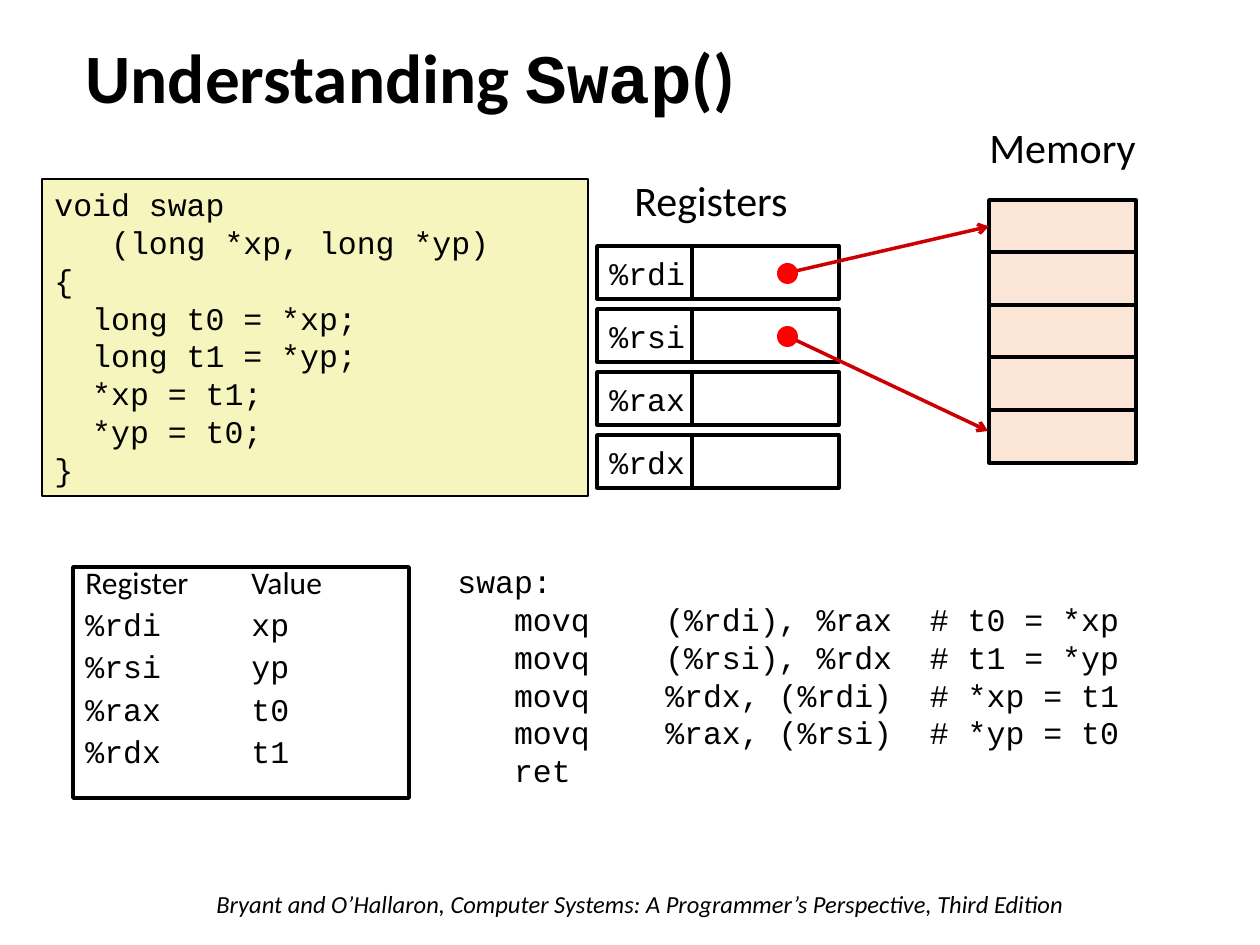
import pptx
import pptx.dml.color
import pptx.enum.shapes
import pptx.enum.text
import pptx.oxml.ns
import pptx.util
from lxml import etree

PX = 914400 / 126
SANS, MONO = "Calibri", "Courier New"
COLORS = {"ink": "000000", "paper": "FFFFFF", "code": "F6F5BD",
          "memory": "FBE5D6", "arrow": "CC0000", "dot": "FF0000"}
SHAPES = pptx.enum.shapes.MSO_SHAPE
ANCHOR = pptx.enum.text.MSO_ANCHOR
LEFT = pptx.enum.text.PP_ALIGN.LEFT

SWAP_C = """void swap
   (long *xp, long *yp)
{
  long t0 = *xp;
  long t1 = *yp;
  *xp = t1;
  *yp = t0;
}"""
SWAP_ASM = """swap:
   movq    (%rdi), %rax  # t0 = *xp
   movq    (%rsi), %rdx  # t1 = *yp
   movq    %rdx, (%rdi)  # *xp = t1
   movq    %rax, (%rsi)  # *yp = t0
   ret"""
REGISTER_VALUES = {"%rdi": "xp", "%rsi": "yp", "%rax": "t0", "%rdx": "t1"}


def px(*lengths):
    """Turn pixel lengths into EMU."""
    return [pptx.util.Emu(round(n * PX)) for n in lengths]


def rgb(name):
    """Look up a named colour."""
    return pptx.dml.color.RGBColor.from_string(COLORS[name])


def format_run(r, font, size, bold=False, italic=False):
    """Set the face, size and style of a run."""
    r.font.name, r.font.size = font, pptx.util.Pt(size)
    r.font.bold, r.font.italic = bold, italic
    r.font.color.rgb = rgb("ink")


def write(sp, text, font, size, italic=False, wrap=True, anchor=ANCHOR.TOP):
    """Fill a shape with left-aligned lines of text in one style."""
    tf = sp.text_frame
    tf.text = text
    tf.word_wrap, tf.vertical_anchor = wrap, anchor
    for p in tf.paragraphs:
        p.alignment = LEFT
        for r in p.runs:
            format_run(r, font, size, italic=italic)


def add_label(s, box, text, font, size, **style):
    """Add a plain text box."""
    write(s.shapes.add_textbox(*px(*box)), text, font, size, **style)


def add_box(s, box, fill=None, line=2, shape=SHAPES.RECTANGLE):
    """Add a preset shape with an optional fill and outline."""
    sp = s.shapes.add_shape(shape, *px(*box))
    sp.shadow.inherit = False
    if fill:
        sp.fill.solid()
        sp.fill.fore_color.rgb = rgb(fill)
    else:
        sp.fill.background()
    if line:
        sp.line.color.rgb = rgb("ink")
        sp.line.width = pptx.util.Pt(line)
    else:
        sp.line.fill.background()
    return sp


def add_pointer(s, start, end, target=None):
    """Add an arrow that starts at a dot and may join a target's left side."""
    arrow = s.shapes.add_connector(
        pptx.enum.shapes.MSO_CONNECTOR.STRAIGHT, *px(*start, *end))
    if target is not None:
        arrow.end_connect(target, 1)
    arrow.line.color.rgb = rgb("arrow")
    arrow.line.width = pptx.util.Pt(2)
    qn = pptx.oxml.ns.qn
    etree.SubElement(arrow.line._get_or_add_ln(), qn("a:tailEnd"), type="arrow")
    etree.SubElement(arrow._element.spPr, qn("a:effectLst"))
    x, y = start
    add_box(s, (x - 10, y - 10, 21, 21), "dot", None, SHAPES.OVAL)


def add_title(s):
    """Place the title, with the function name in the code font."""
    title = s.shapes.title
    title.left, title.top, title.width, title.height = px(73, 42, 878, 79)
    tf = title.text_frame
    tf.vertical_anchor = ANCHOR.MIDDLE
    p = tf.paragraphs[0]
    p.alignment, p.line_spacing = LEFT, 0.9
    for text, font in (("Understanding ", SANS), ("Swap", MONO), ("()", SANS)):
        r = p.add_run()
        r.text = text
        format_run(r, font, 39.6, bold=True)


def add_registers(s):
    """Stack each register's name beside its value cell."""
    for i, name in enumerate(REGISTER_VALUES):
        y = 246 + 63 * i
        label = add_box(s, (597, y, 95, 53), "paper")
        write(label, name, MONO, 18, wrap=False, anchor=ANCHOR.MIDDLE)
        add_box(s, (692, y, 147, 53), "paper")


def add_memory(s):
    """Stack the memory cells and return them."""
    return [add_box(s, (989, 200 + 105 * i // 2, 147, 53), "memory")
            for i in range(5)]


def add_value_list(s):
    """Add the framed list that maps registers to values."""
    sp = add_box(s, (73, 567, 336, 231))
    rows = [("Register", "Value"), *REGISTER_VALUES.items()]
    write(sp, "\n".join("\t".join(row) for row in rows), MONO, 18)
    qn = pptx.oxml.ns.qn
    for i, p in enumerate(sp.text_frame.paragraphs):
        tabs = etree.SubElement(p._p.get_or_add_pPr(), qn("a:tabLst"))
        etree.SubElement(tabs, qn("a:tab"), pos=str(px(166)[0]), algn="l")
        p.line_spacing = 0.7
        if i:
            p.space_before = pptx.util.Pt(9)
    for r in sp.text_frame.paragraphs[0].runs:
        r.font.name = SANS


def main():
    """Build and save the slide."""
    prs = pptx.Presentation()
    prs.slide_width, prs.slide_height = px(1260, 945)
    s = prs.slides.add_slide(prs.slide_layouts[5])
    add_title(s)
    add_label(s, (204, 883, 895, 43),
              "Bryant and O’Hallaron, Computer Systems: "
              "A Programmer’s Perspective, Third Edition",
              SANS, 14, italic=True)
    add_registers(s)
    write(add_box(s, (42, 179, 546, 317), "code", 1), SWAP_C, MONO, 18)
    add_label(s, (977, 115, 176, 63), "Memory", SANS, 24, wrap=False)
    add_label(s, (622, 168, 186, 63), "Registers", SANS, 24, wrap=False)
    add_value_list(s)
    add_label(s, (445, 556, 809, 242), SWAP_ASM, MONO, 18)
    cells = add_memory(s)
    add_pointer(s, (787, 273), (989, 227), cells[0])
    add_pointer(s, (787, 336), (988, 431))
    prs.save("out.pptx")


if __name__ == "__main__":
    main()
